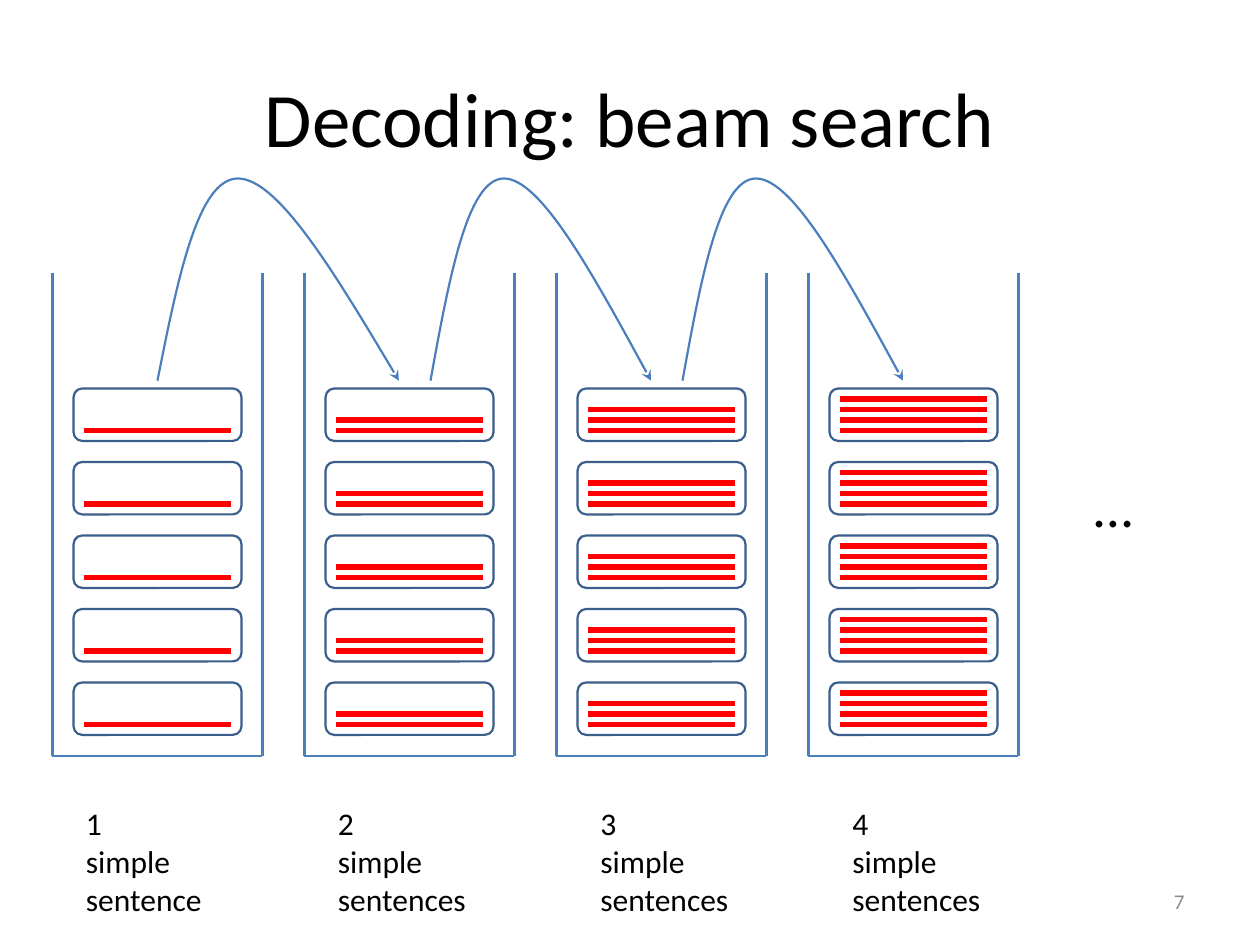
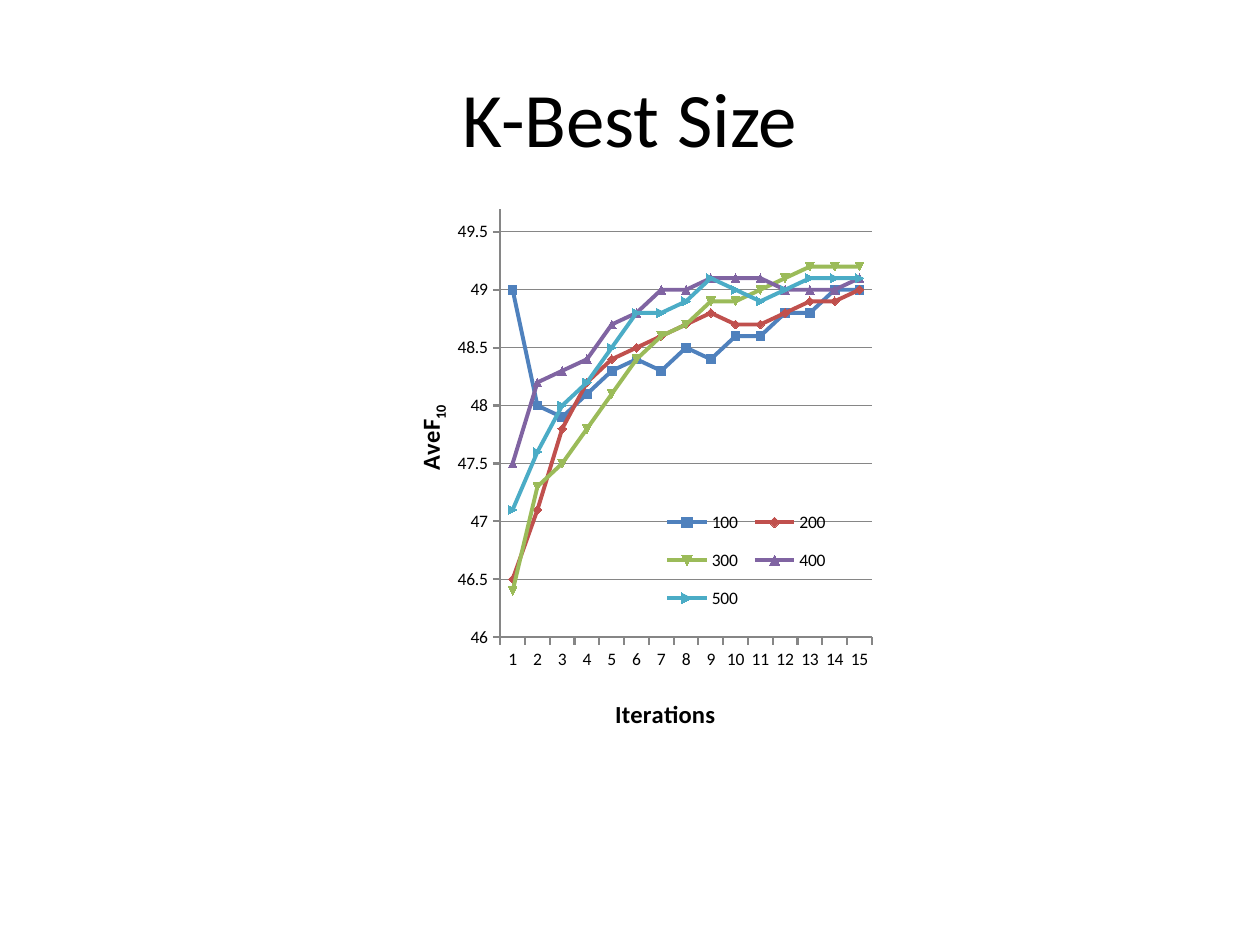
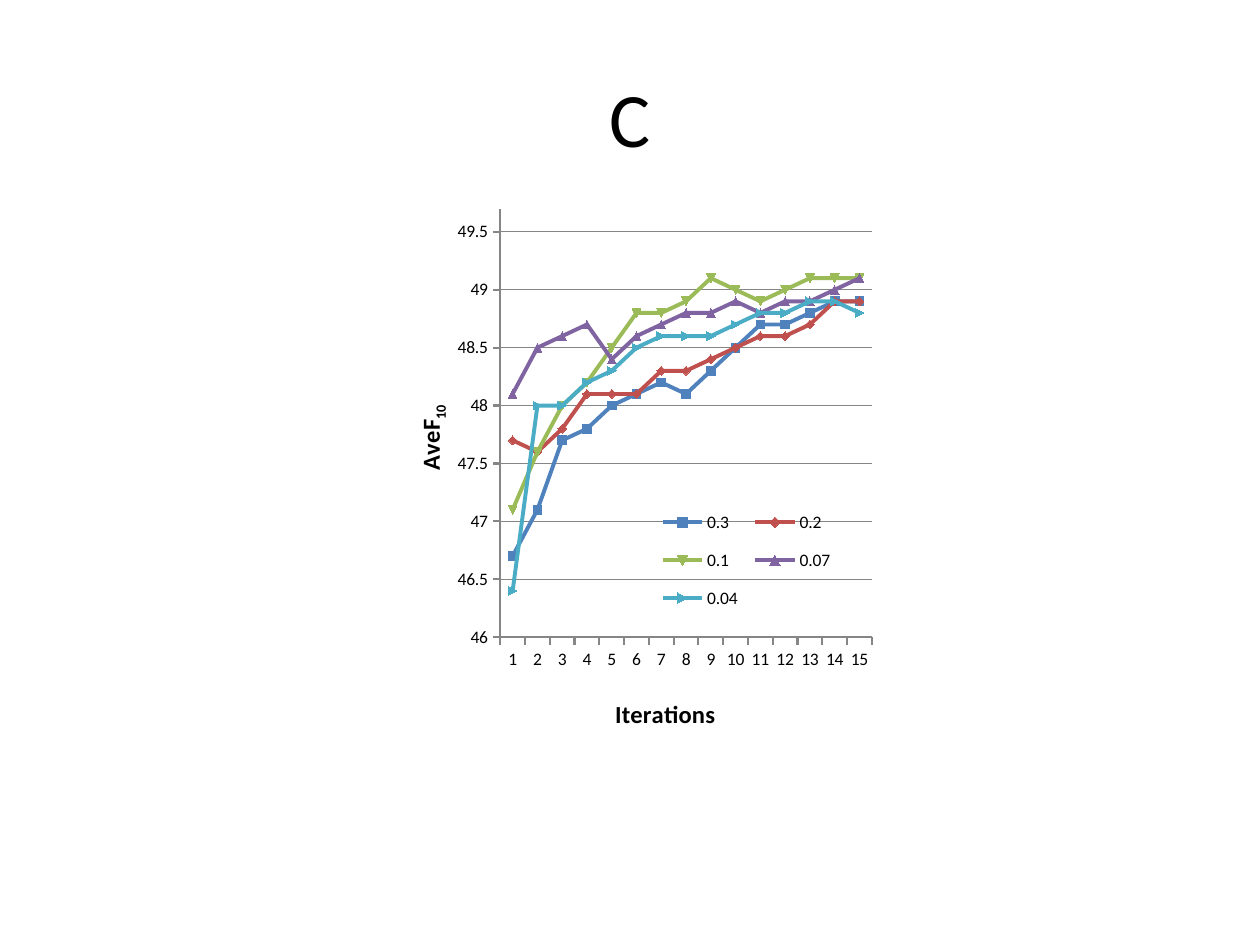
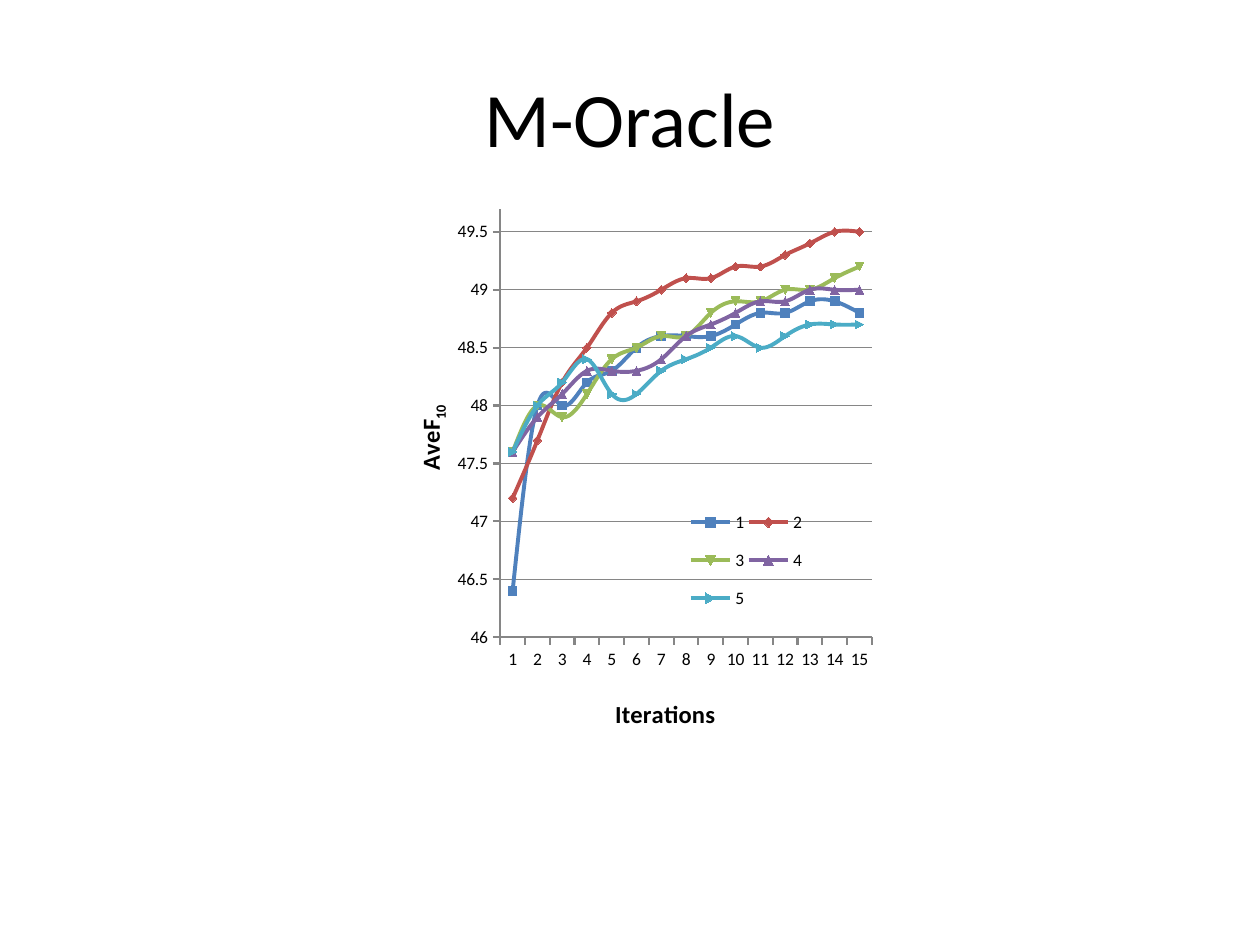
import lxml.etree
import pptx
import pptx.chart.data
import pptx.dml.color
import pptx.enum.chart
import pptx.enum.shapes
import pptx.enum.text
import pptx.oxml.ns
import pptx.util

Pt = pptx.util.Pt
qn = pptx.oxml.ns.qn
FONT = "Calibri"
BLACK, WHITE, GRAY = "000000", "FFFFFF", "8C8C8C"
WALL, CARD_EDGE, SENTENCE, AXIS = "4B7EBC", "3A5F8C", "FF0000", "868686"
SERIES_COLORS = ["4F81BD", "C0504D", "9BBB59", "8064A2", "4BACC6"]
THIN = 1.25
PITCH = 144
TITLE_BOX = (36, 21.6, 648, 90)
CHART_BOX = (217, 113, 287, 314)

DEFAULT_RUN = [47.1, 47.6, 48, 48.2, 48.5, 48.8, 48.8, 48.9, 49.1, 49, 48.9, 49, 49.1, 49.1, 49.1]
SMALL_C_RUN = [46.4, 48, 48, 48.2, 48.3, 48.5, 48.6, 48.6, 48.6, 48.7, 48.8, 48.8, 48.9, 48.9, 48.8]
K_BEST_RUNS = {
    "100": [49, 48, 47.9, 48.1, 48.3, 48.4, 48.3, 48.5, 48.4, 48.6, 48.6, 48.8, 48.8, 49, 49],
    "200": [46.5, 47.1, 47.8, 48.2, 48.4, 48.5, 48.6, 48.7, 48.8, 48.7, 48.7, 48.8, 48.9, 48.9, 49],
    "300": [46.4, 47.3, 47.5, 47.8, 48.1, 48.4, 48.6, 48.7, 48.9, 48.9, 49, 49.1, 49.2, 49.2, 49.2],
    "400": [47.5, 48.2, 48.3, 48.4, 48.7, 48.8, 49, 49, 49.1, 49.1, 49.1, 49, 49, 49, 49.1],
    "500": DEFAULT_RUN,
}
C_RUNS = {
    "0.3": [46.7, 47.1, 47.7, 47.8, 48, 48.1, 48.2, 48.1, 48.3, 48.5, 48.7, 48.7, 48.8, 48.9, 48.9],
    "0.2": [47.7, 47.6, 47.8, 48.1, 48.1, 48.1, 48.3, 48.3, 48.4, 48.5, 48.6, 48.6, 48.7, 48.9, 48.9],
    "0.1": DEFAULT_RUN,
    "0.07": [48.1, 48.5, 48.6, 48.7, 48.4, 48.6, 48.7, 48.8, 48.8, 48.9, 48.8, 48.9, 48.9, 49, 49.1],
    "0.04": SMALL_C_RUN,
}
ORACLE_RUNS = {
    "1": SMALL_C_RUN,
    "2": [47.2, 47.7, 48.2, 48.5, 48.8, 48.9, 49, 49.1, 49.1, 49.2, 49.2, 49.3, 49.4, 49.5, 49.5],
    "3": [47.6, 48, 47.9, 48.1, 48.4, 48.5, 48.6, 48.6, 48.8, 48.9, 48.9, 49, 49, 49.1, 49.2],
    "4": [47.6, 47.9, 48.1, 48.3, 48.3, 48.3, 48.4, 48.6, 48.7, 48.8, 48.9, 48.9, 49, 49, 49],
    "5": [47.6, 48, 48.2, 48.4, 48.1, 48.1, 48.3, 48.4, 48.5, 48.6, 48.5, 48.6, 48.7, 48.7, 48.7],
}


def color(value):
    """Turn a hex string into a colour."""
    return pptx.dml.color.RGBColor.from_string(value)


def set_line(line, value, width=THIN):
    """Give a line its colour and width."""
    line.color.rgb = color(value)
    line.width = Pt(width)


def set_font(font, size, value=BLACK, bold=False):
    """Give a font the shared face and its own format."""
    font.name, font.size, font.bold = FONT, Pt(size), bold
    font.color.rgb = color(value)


def add_text(slide, box, text, size=18, value=BLACK, align="LEFT", anchor="TOP"):
    """Add a wrapped text box."""
    frame = slide.shapes.add_textbox(*map(Pt, box)).text_frame
    frame.word_wrap = True
    frame.vertical_anchor = getattr(pptx.enum.text.MSO_ANCHOR, anchor)
    paragraph = frame.paragraphs[0]
    paragraph.text = text
    paragraph.alignment = getattr(pptx.enum.text.PP_ALIGN, align)
    for run in paragraph.runs:
        set_font(run.font, size, value)


def add_line(shapes, start, end, value, width=THIN):
    """Add a straight line without a shadow."""
    connector = shapes.add_connector(
        pptx.enum.shapes.MSO_CONNECTOR.STRAIGHT, *map(Pt, start + end))
    set_line(connector.line, value, width)
    lxml.etree.SubElement(connector._element.spPr, qn("a:effectLst"))


def add_slide(presentation, title):
    """Add a blank slide with the shared title."""
    slide = presentation.slides.add_slide(presentation.slide_layouts[6])
    add_text(slide, TITLE_BOX, title, size=44, align="CENTER", anchor="MIDDLE")
    return slide


def add_card(shapes, box, sentences):
    """Add a hypothesis card with its sentences stacked from the bottom."""
    left, top, width, height = box
    card = shapes.add_shape(
        pptx.enum.shapes.MSO_SHAPE.ROUNDED_RECTANGLE, *map(Pt, box))
    card.shadow.inherit = False
    card.fill.solid()
    card.fill.fore_color.rgb = color(WHITE)
    set_line(card.line, CARD_EDGE)
    gap = height / 5
    for level in range(sentences):
        y = top + height - gap * (level + 1)
        add_line(shapes, (left + gap, y), (left + width - gap, y), SENTENCE, 3)


def add_stack(slide, box, sentences):
    """Add an open container holding five cards."""
    left, top, width, height = box
    right, bottom = left + width, top + height
    shapes = slide.shapes.add_group_shape().shapes
    for row in range(5):
        add_card(shapes, (left + 12, top + 66 + 42 * row, width - 24, 30), sentences)
    corners = [(left, top), (left, bottom), (right, bottom), (right, top)]
    for start, end in zip(corners, corners[1:]):
        add_line(shapes, start, end, WALL)


def add_arc(slide, box):
    """Add a curved arrow that rises and falls inside the box."""
    left, top, width, height = box
    across = [0, 1, 2, 4, 6, 9, 12]
    down = [2, 1, 0, 0, 0, 1, 2]
    points = [(Pt(left + width * x / 12), Pt(top + height * y / 2))
              for x, y in zip(across, down)]
    builder = slide.shapes.build_freeform(*points[0])
    builder.add_line_segments(points[1:], close=False)
    arc = builder.convert_to_shape()
    arc.shadow.inherit = False
    arc.fill.background()
    set_line(arc.line, WALL)
    segments = list(arc._element.iter(qn("a:lnTo")))
    outline = segments[0].getparent()
    for half in (segments[:3], segments[3:]):
        curve = lxml.etree.SubElement(outline, qn("a:cubicBezTo"))
        for segment in half:
            curve.append(segment[0])
            outline.remove(segment)
    lxml.etree.SubElement(arc.line._get_or_add_ln(), qn("a:tailEnd"), type="stealth")


def add_beam_slide(presentation):
    """Build the beam search slide."""
    slide = add_slide(presentation, "Decoding: beam search")
    for index in range(4):
        left = 30 + PITCH * index
        add_stack(slide, (left, 156, 120, 276), index + 1)
        noun = "sentences" if index else "sentence"
        indent = 18 if index > 1 else 12
        add_text(slide, (left + indent, 456, 96, 72.7), f"{index + 1} \nsimple {noun}")
    for index in range(3):
        width = 126 if index else 138
        add_arc(slide, (228 + PITCH * index - width, 102, width, 115.5))
    add_text(slide, (618, 265.7, 66, 46), "…", size=32)
    add_text(slide, (516, 500.5, 168, 28.75), "7",
             size=12, value=GRAY, align="RIGHT", anchor="MIDDLE")


def set_layout(element, *fractions, inner=False):
    """Place a chart part by fractions of the chart area."""
    for layout in element.findall(qn("c:layout")):
        element.remove(layout)
    layout = lxml.etree.Element(qn("c:layout"))
    manual = lxml.etree.SubElement(layout, qn("c:manualLayout"))
    entries = [("layoutTarget", "inner")] if inner else []
    entries += [("xMode", "edge"), ("yMode", "edge")]
    entries += zip("xywh", map(str, fractions))
    for name, value in entries:
        lxml.etree.SubElement(manual, qn("c:" + name), val=value)
    overlay = element.find(qn("c:overlay"))
    element.insert(0 if overlay is None else element.index(overlay), layout)


def format_axis(axis, title, position, subscript=""):
    """Format an axis and its title."""
    set_line(axis.format.line, AXIS)
    set_font(axis.tick_labels.font, 10)
    axis.major_tick_mark = pptx.enum.chart.XL_TICK_MARK.OUTSIDE
    paragraph = axis.axis_title.text_frame.paragraphs[0]
    for text in filter(None, [title, subscript]):
        run = paragraph.add_run()
        run.text = text
        set_font(run.font, 14, bold=True)
    if subscript:
        run.font._element.set("baseline", "-25000")
    set_layout(axis.axis_title._element, *position)


def add_line_chart(slide, box, runs, legend_left, smooth):
    """Add a line chart of scores by iteration."""
    data = pptx.chart.data.CategoryChartData()
    data.categories = [str(number) for number in range(1, 16)]
    for name, values in runs.items():
        data.add_series(name, values)
    chart = slide.shapes.add_chart(
        pptx.enum.chart.XL_CHART_TYPE.LINE_MARKERS, *map(Pt, box), data).chart
    chart.has_title = False
    set_font(chart.font, 10)
    plot = chart.plots[0]
    plot.vary_by_categories = False
    for series, value in zip(plot.series, SERIES_COLORS):
        series.smooth = smooth
        set_line(series.format.line, value, 2.25)
    format_axis(chart.category_axis, "Iterations", (0.46, 0.9))
    scores = chart.value_axis
    scores.minimum_scale, scores.maximum_scale, scores.major_unit = 46, 49.7, 0.5
    scores.has_major_gridlines = True
    set_line(scores.major_gridlines.format.line, AXIS, 0.75)
    format_axis(scores, "AveF", (0.06, 0.37), subscript="10")
    chart.has_legend = True
    chart.legend.position = pptx.enum.chart.XL_LEGEND_POSITION.RIGHT
    chart.legend.include_in_layout = True
    set_font(chart.legend.font, 10)
    legend_width = round(2 * (0.73 - legend_left), 2)
    set_layout(chart.legend._element, legend_left, 0.54, legend_width, 0.24)
    set_layout(chart._chartSpace.chart.plotArea, 0.24, 0.02, 0.74, 0.78, inner=True)


def add_chart_slide(presentation, title, runs, legend_left, smooth=False):
    """Build a slide with one chart under its title."""
    slide = add_slide(presentation, title)
    add_line_chart(slide, CHART_BOX, runs, legend_left, smooth)


def main():
    """Build and save the presentation."""
    presentation = pptx.Presentation()
    presentation.slide_width, presentation.slide_height = Pt(720), Pt(540)
    add_beam_slide(presentation)
    add_chart_slide(presentation, "K-Best Size", K_BEST_RUNS, 0.55)
    add_chart_slide(presentation, "C", C_RUNS, 0.54)
    add_chart_slide(presentation, "M-Oracle", ORACLE_RUNS, 0.61, smooth=True)
    presentation.save("out.pptx")


if __name__ == "__main__":
    main()
